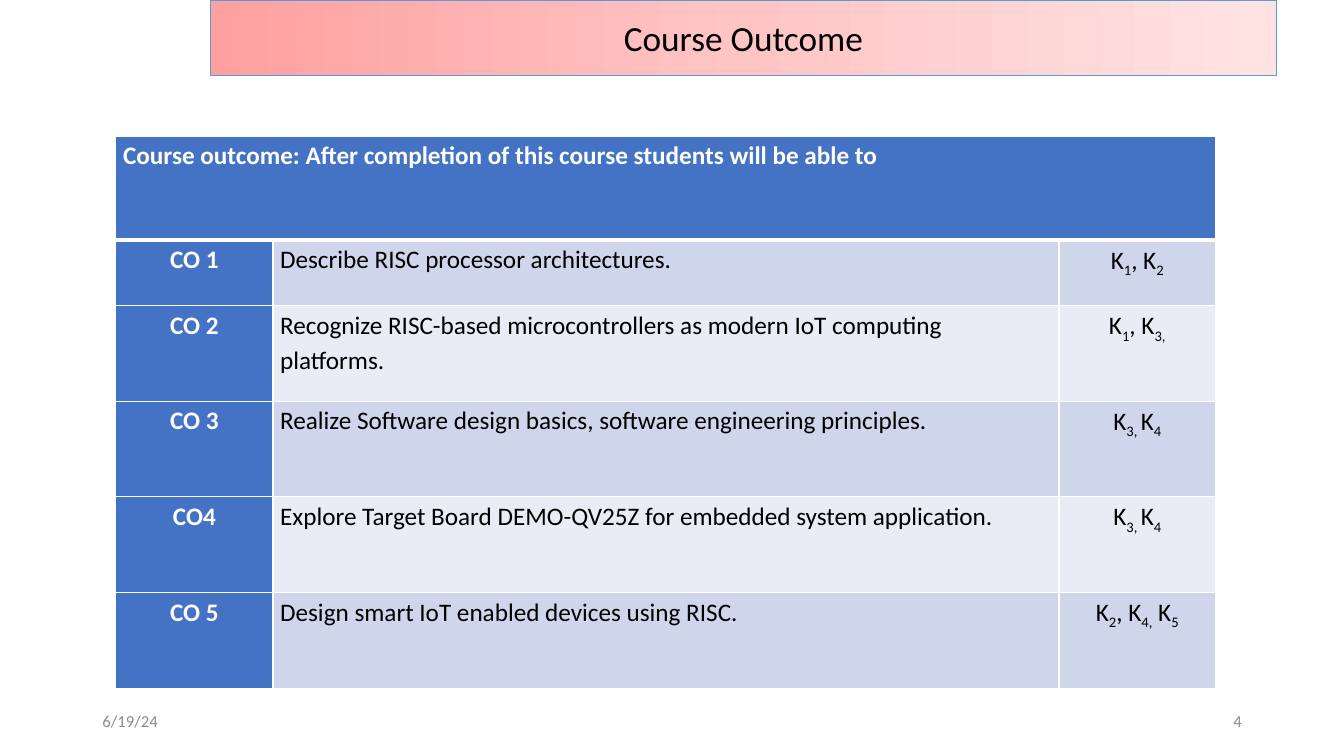
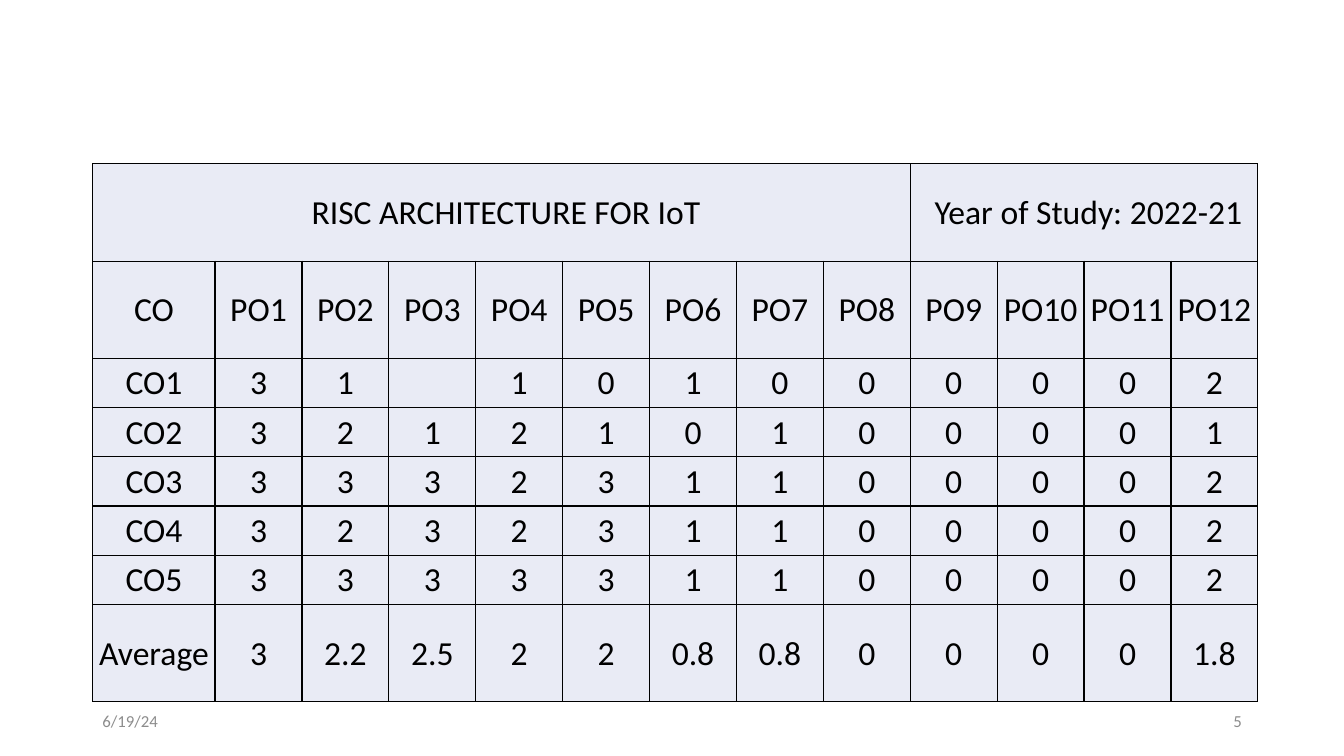
"""Build the course outcome slide and the outcome mapping slide."""
from copy import deepcopy
from dataclasses import dataclass

from lxml.etree import SubElement
from pptx import Presentation
from pptx.dml.color import RGBColor
from pptx.enum.text import MSO_ANCHOR, MSO_AUTO_SIZE, PP_ALIGN
from pptx.oxml.ns import qn
from pptx.util import Cm, Pt

DATE = "6/19/24"
TITLE = "Course Outcome"
OUTCOME_HEADING = "Course outcome: After completion of this course students will be able to"
OUTCOMES = [
    ("CO 1", "Describe RISC processor architectures.", ("K", "1", ", K", "2")),
    ("CO 2", "Recognize RISC-based microcontrollers as modern IoT computing platforms.",
     ("K", "1", ", K", "3,")),
    ("CO 3", "Realize Software design basics, software engineering principles.",
     ("K", "3, ", "K", "4")),
    ("CO4", "Explore Target Board DEMO-QV25Z for embedded system application.",
     ("K", "3, ", "K", "4")),
    ("CO 5", "Design smart IoT enabled devices using RISC.",
     ("K", "2", ", K", "4,", " K", "5")),
]
COURSE = "RISC ARCHITECTURE FOR IoT"
YEAR = "Year of Study: 2022-21"
MAPPING = [
    ["CO"] + [f"PO{n}" for n in range(1, 13)],
    ["CO1", "3", "1", "", "1", "0", "1", "0", "0", "0", "0", "0", "2"],
    ["CO2", "3", "2", "1", "2", "1", "0", "1", "0", "0", "0", "0", "1"],
    ["CO3", "3", "3", "3", "2", "3", "1", "1", "0", "0", "0", "0", "2"],
    ["CO4", "3", "2", "3", "2", "3", "1", "1", "0", "0", "0", "0", "2"],
    ["CO5", "3", "3", "3", "3", "3", "1", "1", "0", "0", "0", "0", "2"],
    ["Average", "3", "2.2", "2.5", "2", "2", "0.8", "0.8", "0", "0", "0", "0", "1.8"],
]


@dataclass(frozen=True)
class Theme:
    """Colours, font and type sizes."""
    font: str = "Calibri"
    black: str = "000000"
    white: str = "FFFFFF"
    grey: str = "8C8C8C"
    blue: str = "4472C4"
    band_dark: str = "CFD5EA"
    band_light: str = "E9EBF5"
    title_line: str = "5B9BD5"
    title_stops: tuple = ((0, "FFA0A0"), (0.5, "FFC5C5"), (1, "FFE3E3"))
    title_size: float = 25.2
    outcome_size: float = 18
    mapping_size: float = 24
    footer_size: float = 12


T = Theme()


def write(tf, parts, size, color, align=PP_ALIGN.LEFT, bold=False):
    """Write one paragraph whose every second part is a subscript."""
    p = tf.paragraphs[0]
    p.alignment = align
    for i, part in enumerate(parts):
        r = p.add_run()
        r.text = part
        r.font.name, r.font.size, r.font.bold = T.font, Pt(size), bold
        r.font.color.rgb = RGBColor.from_string(color)
        if i % 2:
            r.font._element.set("baseline", "-25000")
    return p


def add_title(s, text):
    """Format the title placeholder as a gradient band."""
    sp = s.shapes.title
    sp.left, sp.top, sp.width, sp.height = Cm(5.31), Cm(0), Cm(26.85), Cm(1.9)
    sp.fill.gradient()
    sp.fill.gradient_angle = 0
    stops = sp.element.spPr.find(".//" + qn("a:gsLst"))
    stops.insert(1, deepcopy(stops[0]))
    for stop, (position, color) in zip(sp.fill.gradient_stops, T.title_stops):
        stop.position = position
        stop.color.rgb = RGBColor.from_string(color)
    sp.line.color.rgb = RGBColor.from_string(T.title_line)
    sp.line.width = Pt(0.5)
    tf = sp.text_frame
    tf.auto_size = MSO_AUTO_SIZE.NONE
    tf.vertical_anchor = MSO_ANCHOR.MIDDLE
    write(tf, [text], T.title_size, T.black, PP_ALIGN.CENTER)


def add_footer(s, number):
    """Add the date and the slide number."""
    for left, text, align in ((2.33, DATE, PP_ALIGN.LEFT), (23.93, number, PP_ALIGN.RIGHT)):
        tf = s.shapes.add_textbox(Cm(left), Cm(17.65), Cm(7.62), Cm(1.02)).text_frame
        tf.word_wrap = True
        tf.vertical_anchor = MSO_ANCHOR.MIDDLE
        write(tf, [text], T.footer_size, T.grey, align)


def add_grid(s, left, top, cols, rows):
    """Add a plain table with the given column widths and row heights."""
    table = s.shapes.add_table(len(rows), len(cols), Cm(left), Cm(top),
                               Cm(sum(cols)), Cm(sum(rows))).table
    table.first_row = table.horz_banding = False
    for col, width in zip(table.columns, cols):
        col.width = Cm(width)
    for row, height in zip(table.rows, rows):
        row.height = Cm(height)
    return table


def style_cell(cell, fill, border, margins, anchor, widths=(1, 1, 1, 1)):
    """Set borders (left, right, top, bottom), fill, margins and anchor."""
    tcPr = cell._tc.get_or_add_tcPr()
    for side, width in zip("LRTB", widths):
        ln = SubElement(tcPr, qn(f"a:ln{side}"), w=str(Pt(width)))
        SubElement(SubElement(ln, qn("a:solidFill")), qn("a:srgbClr"), val=border)
    cell.fill.solid()
    cell.fill.fore_color.rgb = RGBColor.from_string(fill)
    (cell.margin_left, cell.margin_top,
     cell.margin_right, cell.margin_bottom) = [Cm(m) for m in margins]
    cell.vertical_anchor = anchor


def add_outcomes(s):
    """Add the table of course outcomes."""
    table = add_grid(s, 2.92, 3.43, [3.96, 19.81, 3.94], [2.62, 1.65] + [2.41] * 4)
    rows = [((OUTCOME_HEADING,), (), ())]
    rows += [((code,), (text,), levels) for code, text, levels in OUTCOMES]
    for i, row in enumerate(rows):
        for j, parts in enumerate(row):
            head = i == 0 or j == 0
            band = T.band_dark if i % 2 else T.band_light
            cell = table.cell(i, j)
            style_cell(cell, T.blue if head else band, T.white, (0.18, 0, 0.18, 0),
                       MSO_ANCHOR.TOP, (1, 1, 3 if i == 1 else 1, 3 if i == 0 else 1))
            align = PP_ALIGN.LEFT if i == 0 or j == 1 else PP_ALIGN.CENTER
            p = write(cell.text_frame, parts, T.outcome_size,
                      T.white if head else T.black, align, head)
            p.line_spacing = 1.15
            p.space_after = Pt(12 if i == 0 else 10)
    table.cell(0, 0).merge(table.cell(0, 2))


def add_mapping(s):
    """Add the table that maps course outcomes to programme outcomes."""
    table = add_grid(s, 2.34, 4.13, [3.08] + [2.19] * 12,
                     [2.45] * 2 + [1.24] * 5 + [2.45])
    heading = [COURSE] + [""] * 8 + [YEAR] + [""] * 3
    for i, row in enumerate([heading] + MAPPING):
        for j, text in enumerate(row):
            cell = table.cell(i, j)
            style_cell(cell, T.band_light, T.black,
                       (0.03 if i else 0.25, 0.03, 0.03, 0), MSO_ANCHOR.MIDDLE)
            if text:
                write(cell.text_frame, [text], T.mapping_size, T.black, PP_ALIGN.CENTER)
    table.cell(0, 0).merge(table.cell(0, 8))
    table.cell(0, 9).merge(table.cell(0, 12))


def main():
    """Build and save the presentation."""
    prs = Presentation()
    prs.slide_width, prs.slide_height = Cm(33.87), Cm(19.05)
    title_only, blank = prs.slide_layouts[5], prs.slide_layouts[6]

    s = prs.slides.add_slide(title_only)
    add_title(s, TITLE)
    add_outcomes(s)
    add_footer(s, "4")

    s = prs.slides.add_slide(blank)
    add_mapping(s)
    add_footer(s, "5")

    prs.save("out.pptx")


if __name__ == "__main__":
    main()
